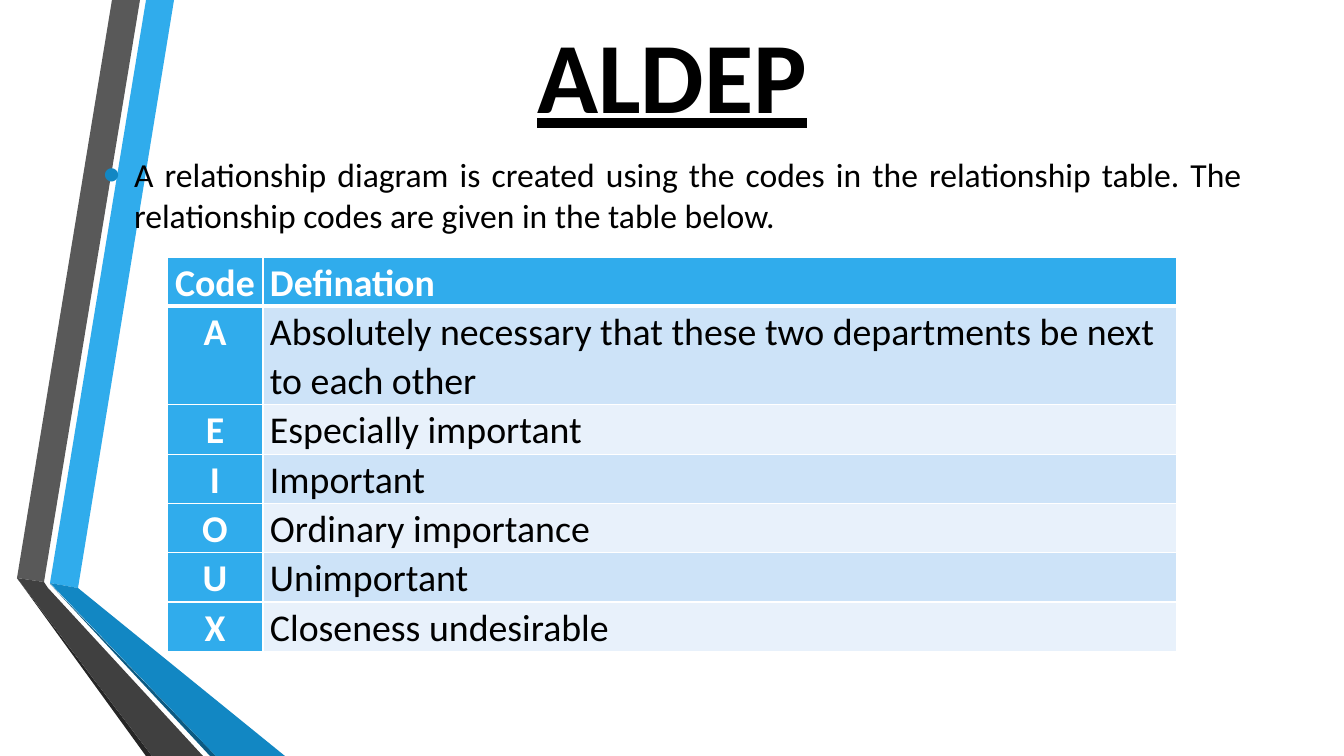
from lxml import etree
from pptx import Presentation
from pptx.dml.color import RGBColor
from pptx.enum.text import MSO_ANCHOR, MSO_AUTO_SIZE, PP_ALIGN
from pptx.oxml.ns import qn
from pptx.util import Emu, Pt

LEFT, CENTER, JUSTIFY = PP_ALIGN.LEFT, PP_ALIGN.CENTER, PP_ALIGN.JUSTIFY
MIDDLE = MSO_ANCHOR.MIDDLE
NO_FIT = MSO_AUTO_SIZE.NONE
EMU_PER_PIXEL = 914400 / 100.8

WHITE, BLACK, BLUE, DEEP_BLUE = "FFFFFF", "000000", "30ACEC", "1287C3"
BANDS = ("CDE3F8", "E8F1FB")

RIBBONS = [
    (BLUE, [(50, 583), (78, 588), (174, 0), (146, 0)]),
    ("595959", [(140, 0), (112, 0), (17, 578), (44, 582)]),
    ("262626", [(17, 578), (146, 756), (152, 756)]),
    ("0C5A82", [(50, 584), (210, 756), (216, 756)]),
    (DEEP_BLUE, [(50, 583), (216, 756), (285, 756), (78, 588)]),
    ("404040", [(203, 756), (48, 588), (44, 582), (17, 578), (152, 756)]),
]
CODES = [
    ("Code", "Defination"),
    ("A", "Absolutely necessary that these two departments be next to each other"),
    ("E", "Especially important"),
    ("I", "Important"),
    ("O", "Ordinary importance"),
    ("U", "Unimportant"),
    ("X", "Closeness undesirable"),
]


def px(pixels):
    """Turn pixels into EMU."""
    return Emu(round(pixels * EMU_PER_PIXEL))


def color(code):
    """Turn a hex string into a colour."""
    return RGBColor.from_string(code)


def add_element(parent, tag, **attributes):
    """Append a DrawingML element and return it."""
    return etree.SubElement(parent, qn(tag), attributes)


class SlideBuilder:
    """Holds the style and the slide being built."""

    def __init__(self, page, font="Calibri"):
        """Keep the page and its font."""
        self.page = page
        self.font = font

    def style(self, para, size, ink, align, bold=False, underline=False):
        """Format a whole paragraph."""
        para.alignment = align
        font = para.font
        font.name, font.size = self.font, Pt(size)
        font.bold, font.underline = bold, underline
        font.color.rgb = color(ink)

    def ribbon(self, fill, points):
        """Draw a filled outline without a line."""
        outline = self.page.shapes.build_freeform(*points[0], scale=EMU_PER_PIXEL)
        outline.add_line_segments(points[1:], close=True)
        shape = outline.convert_to_shape()
        shape.shadow.inherit = False
        shape.fill.solid()
        shape.fill.fore_color.rgb = color(fill)
        shape.line.fill.background()

    def placeholder(self, index, area, text):
        """Bring a placeholder to the front, place and fill it, return its paragraph."""
        box = self.page.placeholders[index]
        box._element.getparent().append(box._element)
        box.left, box.top, box.width, box.height = map(px, area)
        frame = box.text_frame
        frame.text = text
        frame.word_wrap = True
        frame.auto_size = NO_FIT
        frame.vertical_anchor = MIDDLE
        return frame.paragraphs[0]

    def title(self, area, text):
        """Set the slide title."""
        para = self.placeholder(0, area, text)
        self.style(para, 72, BLACK, CENTER, bold=True, underline=True)

    def bullet(self, area, text, indent=31):
        """Set the body to one justified bullet."""
        para = self.placeholder(1, area, text)
        para.space_before, para.space_after = Pt(4.8), Pt(6)
        props = para._p.get_or_add_pPr()
        props.set("marL", str(px(indent)))
        props.set("indent", str(-px(indent)))
        add_element(add_element(props, "a:buClr"), "a:srgbClr", val=DEEP_BLUE)
        add_element(props, "a:buSzPct", val="145000")
        add_element(props, "a:buFont", typeface="Arial")
        add_element(props, "a:buChar", char="•")
        self.style(para, 24, BLACK, JUSTIFY)

    def borders(self, cell, top, bottom):
        """Give a cell white borders, with top and bottom widths in points."""
        props = cell._tc.get_or_add_tcPr()
        for side, width in zip("LRTB", (1, 1, top, bottom)):
            line = add_element(props, f"a:ln{side}", w=str(Pt(width)))
            add_element(add_element(line, "a:solidFill"), "a:srgbClr", val=WHITE)

    def cell(self, cell, text, fill, ink, align, bold, rule):
        """Fill and format one table cell."""
        self.borders(cell, *rule)
        cell.fill.solid()
        cell.fill.fore_color.rgb = color(fill)
        cell.margin_left = cell.margin_right = px(7)
        cell.margin_top = cell.margin_bottom = 0
        cell.text = text
        para = cell.text_frame.paragraphs[0]
        para.line_spacing = 1.07
        self.style(para, 27, ink, align, bold)

    def table(self, area, widths, heights, rows):
        """Add a table with a blue header row and first column."""
        frame = self.page.shapes.add_table(len(rows), len(widths), *map(px, area))
        grid = frame.table
        for column, width in zip(grid.columns, widths):
            column.width = px(width)
        for row, height in zip(grid.rows, heights):
            row.height = px(height)
        for r, texts in enumerate(rows):
            rule = (3 if r == 1 else 1, 3 if r == 0 else 1)
            for c, text in enumerate(texts):
                heading = r == 0 or c == 0
                fill = BLUE if heading else BANDS[(r - 1) % 2]
                ink = WHITE if heading else BLACK
                align = LEFT if c else CENTER
                self.cell(grid.cell(r, c), text, fill, ink, align, heading, rule)


def main():
    """Build the slide and save the deck."""
    deck = Presentation()
    deck.slide_width, deck.slide_height = px(1344), px(756)
    builder = SlideBuilder(deck.slides.add_slide(deck.slide_layouts[1]))
    for fill, points in RIBBONS:
        builder.ribbon(fill, points)
    builder.title((93, 0, 1159, 146), "ALDEP")
    builder.bullet(
        (93, 146, 1159, 97),
        "A relationship diagram is created using the codes in the relationship "
        "table. The relationship codes are given in the table below.",
    )
    heights = [41, 83] + [41] * 5
    builder.table((167, 257, 1010, sum(heights)), (96, 914), heights, CODES)
    deck.save("out.pptx")


main()
